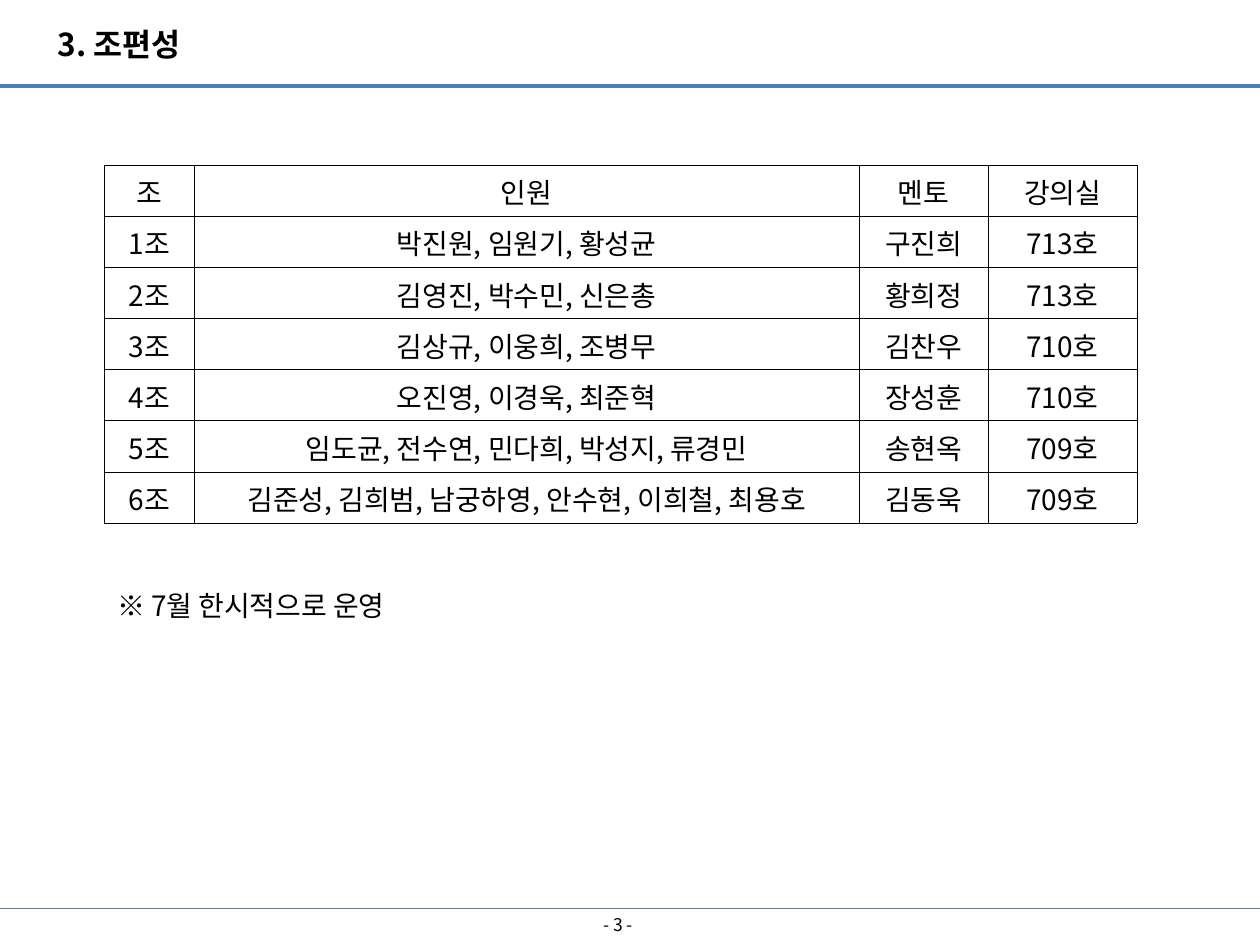
import pptx
import pptx.chart.data
import pptx.dml.color
import pptx.enum.shapes
import pptx.enum.text
import pptx.oxml
import pptx.oxml.ns
import pptx.util
from lxml import etree

Cm = pptx.util.Cm
Pt = pptx.util.Pt
qn = pptx.oxml.ns.qn
Rgb = pptx.dml.color.RGBColor.from_string
Align = pptx.enum.text.PP_ALIGN
Anchor = pptx.enum.text.MSO_ANCHOR

FONT = "Noto Sans CJK KR"
INK = {"text": "000000", "rule": "4B7EBC", "grid": "000000"}


def write(frame, text, size, bold=False, align=Align.LEFT):
    """Put one styled run in the first paragraph, with Latin and Korean fonts."""
    para = frame.paragraphs[0]
    para.alignment = align
    run = para.add_run()
    run.text = text
    run.font.size = Pt(size)
    run.font.bold = bold
    run.font.color.rgb = Rgb(INK["text"])
    run.font.name = FONT
    etree.SubElement(run.font._element, qn("a:ea"), typeface=FONT)


def edge(cell):
    """Draw a thin line on all four sides of a cell."""
    props = cell._tc.get_or_add_tcPr()
    for spot, side in enumerate(("lnL", "lnR", "lnT", "lnB")):
        line = etree.Element(qn("a:" + side), w=str(Pt(0.25)))
        fill = etree.SubElement(line, qn("a:solidFill"))
        etree.SubElement(fill, qn("a:srgbClr"), val=INK["grid"])
        props.insert(spot, line)


deck = pptx.Presentation()
deck.slide_width = Cm(25.4)
deck.slide_height = Cm(19.05)
slide = deck.slides.add_slide(deck.slide_layouts[6])

# Header and footer rules
for y, width in ((1.73, 2.25), (18.31, 0.75)):
    rule = slide.shapes.add_connector(
        pptx.enum.shapes.MSO_CONNECTOR.STRAIGHT, 0, Cm(y), deck.slide_width, Cm(y))
    rule.line.color.rgb = Rgb(INK["rule"])
    rule.line.width = Pt(width)
    etree.SubElement(rule._element.spPr, qn("a:effectLst"))

# Title, page number and note
left, mid = Align.LEFT, Align.CENTER
labels = [
    ("3. 조편성", 0.91, 0.38, 3.2, 1.02, 18, True, left, Anchor.TOP),
    ("- 3 -", 9.5, 18.31, 5.92, 0.66, 10, False, mid, Anchor.MIDDLE),
    ("※ 7월 한시적으로 운영", 2.11, 11.73, 6.45, 0.94, 16, False, left, Anchor.TOP),
]
for text, x, y, w, h, size, bold, align, anchor in labels:
    frame = slide.shapes.add_textbox(Cm(x), Cm(y), Cm(w), Cm(h)).text_frame
    frame.word_wrap = align == mid
    frame.vertical_anchor = anchor
    write(frame, text, size, bold, align)

# Group table
rows = [
    ("조", "인원", "멘토", "강의실"),
    ("1조", "박진원, 임원기, 황성균", "구진희", "713호"),
    ("2조", "김영진, 박수민, 신은총", "황희정", "713호"),
    ("3조", "김상규, 이웅희, 조병무", "김찬우", "710호"),
    ("4조", "오진영, 이경욱, 최준혁", "장성훈", "710호"),
    ("5조", "임도균, 전수연, 민다희, 박성지, 류경민", "송현옥", "709호"),
    ("6조", "김준성, 김희범, 남궁하영, 안수현, 이희철, 최용호", "김동욱", "709호"),
]
cols = (1.8, 13.41, 2.6, 3.0)
tall = 1.03
grid = slide.shapes.add_table(
    len(rows), len(cols), Cm(2.11), Cm(3.33), Cm(sum(cols)), Cm(tall * len(rows))).table
grid.first_row = False
grid.horz_banding = False
for col, width in zip(grid.columns, cols):
    col.width = Cm(width)
for row, texts in zip(grid.rows, rows):
    row.height = Cm(tall)
    for cell, text in zip(row.cells, texts):
        cell.fill.background()
        edge(cell)
        write(cell.text_frame, text, 16, align=mid)
grid.cell(len(rows) - 1, 2).vertical_anchor = Anchor.MIDDLE

deck.save("out.pptx")
